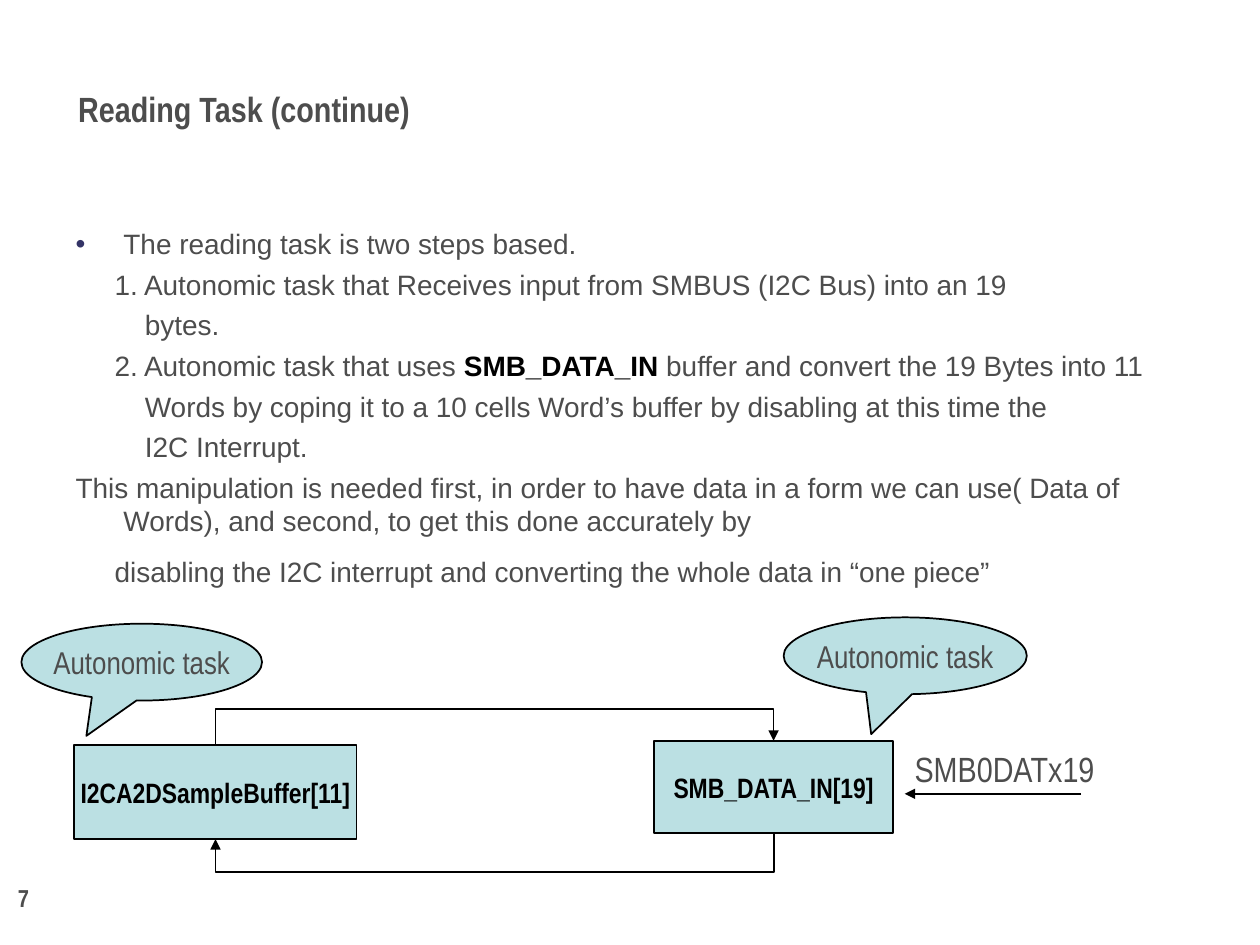
import pptx
import pptx.dml.color
import pptx.enum.shapes
import pptx.enum.text
import pptx.oxml
import pptx.oxml.ns
import pptx.util

Inches, Pt = pptx.util.Inches, pptx.util.Pt
SHAPE = pptx.enum.shapes.MSO_SHAPE
CONNECTOR = pptx.enum.shapes.MSO_CONNECTOR
ALIGN = pptx.enum.text.PP_ALIGN
ANCHOR = pptx.enum.text.MSO_ANCHOR
NO_FIT = pptx.enum.text.MSO_AUTO_SIZE.NONE

GRAY, BLACK, TEAL, NAVY = "4D4D4D", "000000", "BBE0E3", "333366"
NARROW = "Arial Narrow"

TITLE = "Reading Task (continue)"
# kind of line: left margin, first-line indent (inches), space before (points)
LINE_KINDS = {
    "bullet": (0.38, -0.38, 4),
    "step": (0.31, 0, 4),
    "more": (0.55, 0, 4),
    "note": (0.38, -0.38, 4),
    "end": (0.31, 0, 10),
}
# Every second span of a line is emphasised.
LINES = [
    ("bullet", ["The reading task is two steps based."]),
    ("step", ["1. Autonomic task that Receives input from SMBUS (I2C Bus) into an 19"]),
    ("more", ["bytes."]),
    ("step", ["2. Autonomic task that uses ", "SMB_DATA_IN",
              " buffer and convert the 19 Bytes into 11"]),
    ("more", ["Words by coping it to a 10 cells Word’s buffer by disabling at this time the"]),
    ("more", ["I2C Interrupt."]),
    ("note", ["This manipulation is needed first, in order to have data in a form we can "
              "use( Data of Words), and second, to get this done accurately by"]),
    ("end", ["disabling the I2C interrupt and converting the whole data in “one piece”"]),
]
BUFFERS = [
    ("I2CA2DSampleBuffer[11]", (0.59, 5.91, 2.24, 0.75)),
    ("SMB_DATA_IN[19]", (5.19, 5.88, 1.9, 0.73)),
]
CALLOUT_TEXT = "Autonomic task"
CALLOUT_SIZE = 18  # keeps the text on one line inside the oval
CALLOUTS = [  # place, tip as shares of the callout's size
    ((0.17, 4.95, 1.91, 0.61), (-0.23, 0.96)),
    ((6.22, 4.9, 1.93, 0.61), (-0.14, 1.02)),
]
LABELS = [  # text, place, size, bold, alignment
    ("SMB0DATx19", (7.16, 5.88, 1.98, 0.44), 20, False, ALIGN.LEFT),
    ("7", (0.02, 6.96, 0.31, 0.34), 14, True, ALIGN.RIGHT),
]
INPUT_ARROW = ((8.58, 6.3), (7.18, 6.3))
LOOPS = [  # start, end, height of the long horizontal leg
    ((1.71, 5.92), (6.14, 5.88), 5.63),
    ((6.14, 6.61), (1.71, 6.66), 6.92),
]


def color(value):
    return pptx.dml.color.RGBColor.from_string(value)


def add_xml(parent, xml):
    """Append xml, declaring the namespace at its first space."""
    parent.append(pptx.oxml.parse_xml(
        xml.replace(" ", f" {pptx.oxml.ns.nsdecls('a')} ", 1)))


def place(shape, area):
    shape.left, shape.top, shape.width, shape.height = map(Inches, area)


def style(font, size, name, value, bold=False):
    font.size, font.name, font.bold = Pt(size), name, bold
    font.color.rgb = color(value)


def write(shape, text, size, value=GRAY, bold=False, align=ALIGN.LEFT):
    frame = shape.text_frame
    frame.word_wrap = False
    frame.auto_size = NO_FIT
    frame.text = text
    paragraph = frame.paragraphs[0]
    paragraph.alignment = align
    style(paragraph.font, size, NARROW, value, bold)


def add_box(slide, kind, area):
    box = slide.shapes.add_shape(kind, *map(Inches, area))
    box.shadow.inherit = False
    box.fill.solid()
    box.fill.fore_color.rgb = color(TEAL)
    box.line.color.rgb = color(BLACK)
    box.line.width = Pt(1)
    box.text_frame.vertical_anchor = ANCHOR.MIDDLE
    return box


def add_arrow(slide, kind, start, end):
    arrow = slide.shapes.add_connector(kind, *map(Inches, start + end))
    arrow.line.color.rgb = color(BLACK)
    arrow.line.width = Pt(1)
    properties = arrow._element.spPr
    add_xml(properties.find(pptx.oxml.ns.qn("a:ln")), '<a:tailEnd type="triangle"/>')
    add_xml(properties, "<a:effectLst />")
    return arrow


def add_loop(slide, start, end, leg):
    """Elbow arrow that leaves and arrives vertically: a quarter-turned connector."""
    arrow = add_arrow(slide, CONNECTOR.ELBOW, start, end)
    (x1, y1), (x2, y2) = start, end
    width, height = abs(y2 - y1), abs(x2 - x1)
    place(arrow, ((x1 + x2 - width) / 2, (y1 + y2 - height) / 2, width, height))
    properties = arrow._element.spPr
    frame = properties.xfrm
    frame.set("rot", str(90 * 60000))
    frame.set("flipH", str(int(y2 < y1)))
    frame.set("flipV", str(int(x2 > x1)))
    bend = round((leg - y1) / (y2 - y1) * 100000)
    guides = properties.find(pptx.oxml.ns.qn("a:prstGeom")).get_or_add_avLst()
    add_xml(guides, f'<a:gd name="adj1" fmla="val {bend}"/>')


def write_body(body):
    place(body, (0.5, 1.75, 9, 4.95))
    frame = body.text_frame
    frame.word_wrap = True
    frame.auto_size = NO_FIT
    frame.vertical_anchor = ANCHOR.TOP
    for index, (kind, spans) in enumerate(LINES):
        paragraph = frame.add_paragraph() if index else frame.paragraphs[0]
        margin, indent, space = LINE_KINDS[kind]
        properties = paragraph._p.get_or_add_pPr()
        properties.set("marL", str(Inches(margin)))
        properties.set("indent", str(Inches(indent)))
        if kind == "bullet":
            add_xml(properties, f'<a:buClr ><a:srgbClr val="{NAVY}"/></a:buClr>')
            add_xml(properties, '<a:buChar char="•"/>')
        else:
            add_xml(properties, "<a:buNone />")
        paragraph.space_before = Pt(space)
        style(paragraph.font, 16, "Arial", GRAY)
        for position, text in enumerate(spans):
            span = paragraph.add_run()
            span.text = text
            if position % 2:
                span.font.bold = True
                span.font.color.rgb = color(BLACK)


def main():
    deck = pptx.Presentation()
    deck.slide_width, deck.slide_height = Inches(10), Inches(7.5)
    slide = deck.slides.add_slide(deck.slide_layouts[1])

    title = slide.shapes.title
    place(title, (0.52, 0.64, 3.08, 0.44))
    title.text_frame.vertical_anchor = ANCHOR.MIDDLE
    write(title, TITLE, 20, bold=True)
    write_body(slide.placeholders[1])

    for text, area in BUFFERS:
        write(add_box(slide, SHAPE.RECTANGLE, area), text, 16, BLACK, True, ALIGN.CENTER)
    add_arrow(slide, CONNECTOR.STRAIGHT, *INPUT_ARROW)
    for loop in LOOPS:
        add_loop(slide, *loop)
    for area, tip in CALLOUTS:
        callout = add_box(slide, SHAPE.OVAL_CALLOUT, area)
        callout.adjustments[0], callout.adjustments[1] = tip
        write(callout, CALLOUT_TEXT, CALLOUT_SIZE, align=ALIGN.CENTER)
    for text, area, size, bold, align in LABELS:
        label = slide.shapes.add_textbox(*map(Inches, area))
        write(label, text, size, bold=bold, align=align)

    deck.save("out.pptx")


if __name__ == "__main__":
    main()
